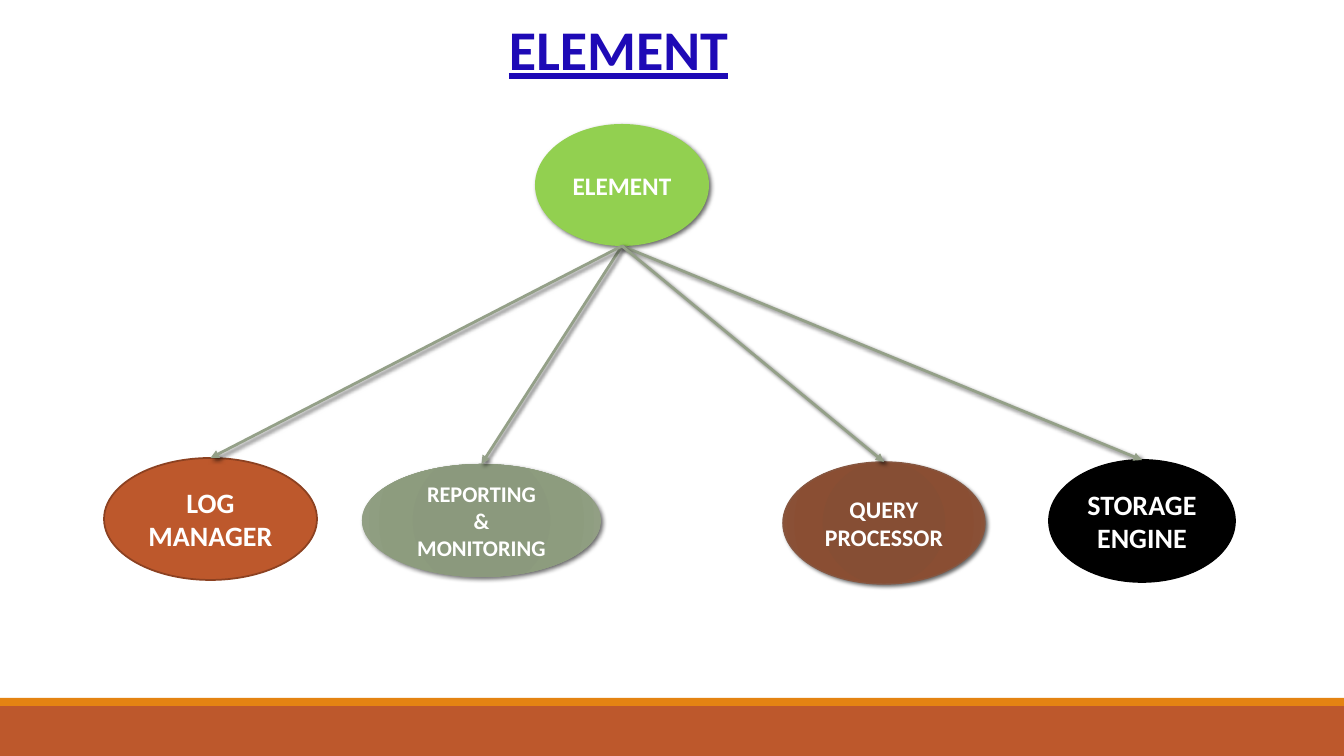
from pptx import Presentation
from pptx.dml.color import RGBColor
from pptx.enum.shapes import MSO_CONNECTOR, MSO_SHAPE
from pptx.enum.text import MSO_ANCHOR, MSO_AUTO_SIZE, PP_ALIGN
from pptx.oxml import parse_xml
from pptx.oxml.ns import nsdecls, qn
from pptx.util import Pt
from lxml.etree import SubElement

WHITE = RGBColor(0xFF, 0xFF, 0xFF)
BLACK = RGBColor(0x00, 0x00, 0x00)
BLUE = RGBColor(0x1E, 0x0A, 0xB6)
GREEN = RGBColor(0x92, 0xD0, 0x50)
RUST = RGBColor(0xBD, 0x58, 0x2C)
DARK_RUST = RGBColor(0x8C, 0x41, 0x21)
ORANGE = RGBColor(0xE4, 0x83, 0x12)
SAGE = RGBColor(0x94, 0xA0, 0x88)
BROWN = RGBColor(0x86, 0x56, 0x40)
SAGE_STOPS = [(0, RGBColor(0x8A, 0x98, 0x7B)), (34, RGBColor(0x8B, 0x99, 0x7D)),
              (70, RGBColor(0x8D, 0x9C, 0x7E)), (100, RGBColor(0x94, 0xA1, 0x87))]
BROWN_STOPS = [(0, RGBColor(0x87, 0x4C, 0x32)), (34, RGBColor(0x86, 0x4E, 0x34)),
               (70, RGBColor(0x8A, 0x4E, 0x33)), (100, RGBColor(0x8A, 0x55, 0x3D))]

WIDTH, HEIGHT = 1344, 756
SCALE = 12192000 / WIDTH


def px(n):
    return round(n * SCALE)


class Deck:
    font = "Calibri"

    def __init__(self):
        self.prs = Presentation()
        self.prs.slide_width, self.prs.slide_height = px(WIDTH), px(HEIGHT)
        self.s = self.prs.slides.add_slide(self.prs.slide_layouts[5])

    def set_text(self, tf, lines, wrap, margin, size, color, **extra):
        frame = dict(word_wrap=wrap, auto_size=MSO_AUTO_SIZE.NONE,
                     vertical_anchor=MSO_ANCHOR.MIDDLE)
        for side in ("left", "right", "top", "bottom"):
            frame[f"margin_{side}"] = px(margin)
        for name, value in frame.items():
            setattr(tf, name, value)
        tf.text = "\n".join(lines)
        for p in tf.paragraphs:
            p.alignment = PP_ALIGN.CENTER
            for r in p.runs:
                r.font.color.rgb = color
                style = dict(name=self.font, size=Pt(size), bold=True, **extra)
                for name, value in style.items():
                    setattr(r.font, name, value)

    def title(self, text, x, y, w, h):
        sp = self.s.shapes.title
        for name, value in dict(left=x, top=y, width=w, height=h).items():
            setattr(sp, name, px(value))
        self.set_text(sp.text_frame, [text], False, 5, 40, BLUE, underline=True)

    def shape(self, kind, box, fill, line=None, line_width=1.25):
        sp = self.s.shapes.add_shape(kind, *map(px, box))
        sp.shadow.inherit = False
        sp.fill.solid()
        if isinstance(fill, list):
            self.gradient(sp, fill)
        else:
            sp.fill.fore_color.rgb = fill
        if line is None:
            sp.line.fill.background()
        else:
            sp.line.color.rgb = line
            sp.line.width = Pt(line_width)
        return sp

    def gradient(self, sp, stops):
        gs = "".join(f'<a:gs pos="{pos * 1000}"><a:srgbClr val="{color}"/></a:gs>'
                     for pos, color in stops)
        grad = parse_xml(
            f'<a:gradFill {nsdecls("a")} rotWithShape="1"><a:gsLst>{gs}</a:gsLst>'
            '<a:path path="circle"><a:fillToRect l="100000" t="100000" '
            'r="100000" b="100000"/></a:path></a:gradFill>')
        spPr = sp._element.spPr
        spPr.replace(spPr.find(qn("a:solidFill")), grad)

    def shadow(self, sp, blur):
        spPr = sp._element.spPr
        effects = spPr.find(qn("a:effectLst"))
        if effects is None:
            effects = SubElement(spPr, qn("a:effectLst"))
        effects.append(parse_xml(
            f'<a:outerShdw {nsdecls("a")} blurRad="{Pt(blur)}" dist="{Pt(2)}" '
            'dir="2700000" algn="tl" rotWithShape="0"><a:srgbClr val="000000">'
            '<a:alpha val="60000"/></a:srgbClr></a:outerShdw>'))

    def ellipse(self, lines, size, box, fill, line=None, line_width=1.25, blur=None):
        sp = self.shape(MSO_SHAPE.OVAL, box, fill, line, line_width)
        if blur:
            self.shadow(sp, blur)
        self.set_text(sp.text_frame, lines, True, 5, size, WHITE)

    def arrow(self, start, end):
        cn = self.s.shapes.add_connector(MSO_CONNECTOR.STRAIGHT, *map(px, start + end))
        cn.line.color.rgb = SAGE
        cn.line.width = Pt(2)
        SubElement(cn._element.spPr.find(qn("a:ln")), qn("a:tailEnd"), type="triangle")
        self.shadow(cn, 3)


def main():
    deck = Deck()
    deck.shape(MSO_SHAPE.RECTANGLE, (0, 706, WIDTH, 50), RUST)
    deck.shape(MSO_SHAPE.RECTANGLE, (0, 698, WIDTH, 8), ORANGE)
    deck.title("ELEMENT", 495, 9, 247, 78)

    root = (535, 124, 174, 122)
    deck.ellipse(["ELEMENT"], 18, root, GREEN, blur=3.5)
    children = [
        dict(lines=["REPORTING", "&", "MONITORING"], size=16,
             box=(362, 464, 239, 113), fill=SAGE_STOPS, blur=3.5),
        dict(lines=["STORAGE ENGINE"], size=20,
             box=(1049, 460, 186, 122), fill=BLACK, line=BLACK),
        dict(lines=["LOG MANAGER"], size=20,
             box=(104, 458, 213, 122), fill=RUST, line=DARK_RUST),
        dict(lines=["QUERY PROCESSOR"], size=17, box=(783, 462, 202, 122),
             fill=BROWN_STOPS, line=BROWN, line_width=1, blur=3),
    ]
    for child in children:
        deck.ellipse(**child)
    x, y, w, h = root
    for child in children:
        left, top, width, _ = child["box"]
        deck.arrow((x + w / 2, y + h), (left + width / 2, top))
    deck.prs.save("out.pptx")


if __name__ == "__main__":
    main()
